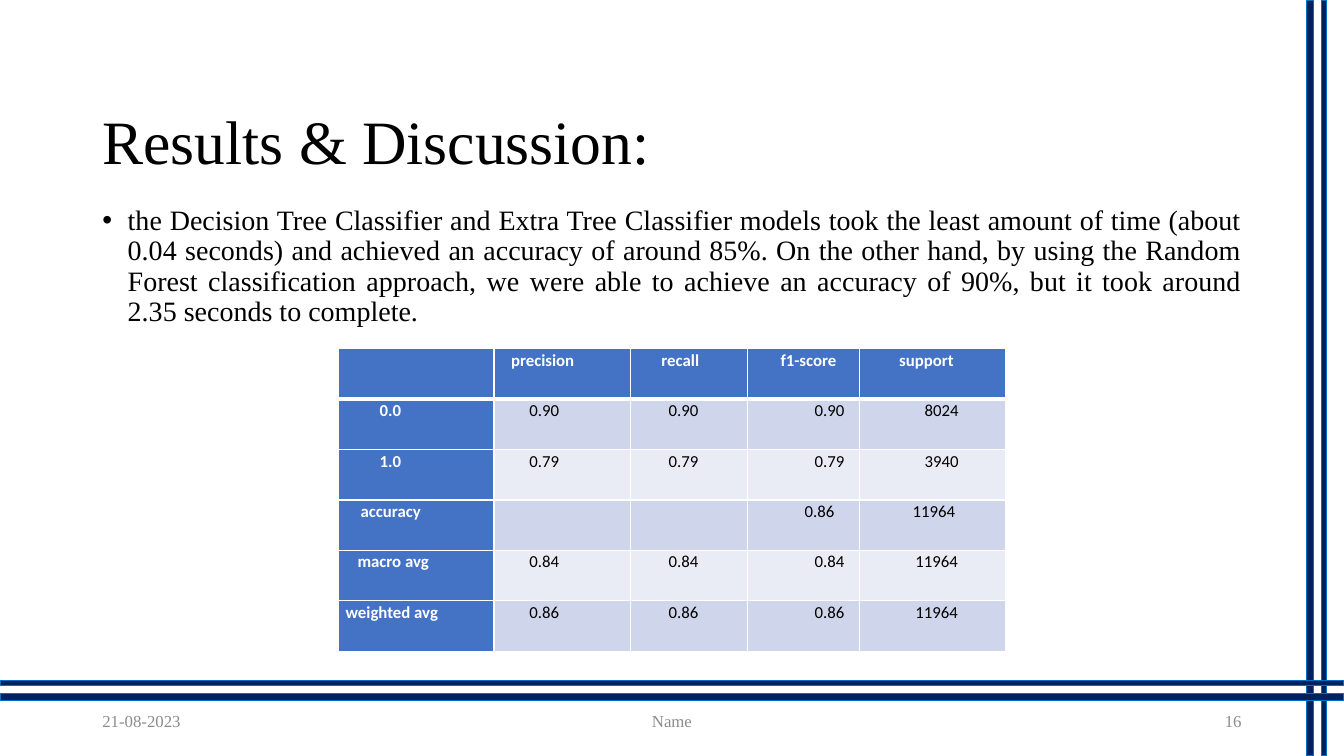
from lxml import etree
from pptx import Presentation
from pptx import util as u
from pptx.dml.color import RGBColor
from pptx.enum import shapes, text
from pptx.oxml.ns import qn

# Content
TITLE = "Results & Discussion:"
FINDINGS = (
    "the Decision Tree Classifier and Extra Tree Classifier models took the least "
    "amount of time (about 0.04 seconds) and achieved an accuracy of around 85%. "
    "On the other hand, by using the Random Forest classification approach, we were "
    "able to achieve an accuracy of 90%, but it took around 2.35 seconds to complete."
)
SCORES = [
    ["", "precision", "recall", "f1-score", "support"],
    ["0.0", "0.90", "0.90", "0.90", "8024"],
    ["1.0", "0.79", "0.79", "0.79", "3940"],
    ["accuracy", "", "", "0.86", "11964"],
    ["macro avg", "0.84", "0.84", "0.84", "11964"],
    ["weighted avg", "0.86", "0.86", "0.86", "11964"],
]
# Left indent of each cell's text, in cm
INDENTS = [
    [0, 0.25, 0.61, 0.66, 0.81],
    [0.86, 0.71, 0.79, 1.52, 1.45],
    [0.86, 0.71, 0.79, 1.52, 1.45],
    [0.38, 0, 0, 1.27, 1.15],
    [0.3, 0.71, 0.79, 1.52, 1.22],
    [0, 0.71, 0.79, 1.52, 1.22],
]
COLUMN_WIDTHS = [3.92, 3.43, 2.95, 2.84, 3.66]
ROW_HEIGHT = 1.27
LEFT, ALIGN = 2.33, text.PP_ALIGN
FOOTER = [  # text, left, width, alignment
    ("21-08-2023", LEFT, 7.62, ALIGN.LEFT),
    ("Name", 11.22, 11.43, ALIGN.CENTER),
    ("16", 23.92, 7.62, ALIGN.RIGHT),
]
WIDTH, HEIGHT = 33.87, 19.05
BARS = [  # left, top, width, height
    (32.92, 0, 0.18, HEIGHT),
    (33.3, 0, 0.13, HEIGHT),
    (0, 17.48, WIDTH, 0.18),
    (0, 17.15, WIDTH, 0.13),
]

NAVY = RGBColor(0x00, 0x20, 0x60)
BRIGHT_BLUE = RGBColor(0x00, 0x70, 0xC0)
HEADER_BLUE = RGBColor(0x44, 0x72, 0xC4)
BAND_DARK = RGBColor(0xCF, 0xD5, 0xEA)
BAND_LIGHT = RGBColor(0xE9, 0xEB, 0xF5)
GRAY = RGBColor(0x8C, 0x8C, 0x8C)
BLACK = RGBColor(0, 0, 0)
WHITE = RGBColor(0xFF, 0xFF, 0xFF)
SERIF, SANS = "Times New Roman", "Calibri"


def box(*lengths):
    return [u.Cm(length) for length in lengths]


def write(frame, content, size, color, font=SERIF, bold=False,
          align=ALIGN.LEFT, spacing=None):
    frame.text = content
    frame.word_wrap = True
    paragraph = frame.paragraphs[0]
    paragraph.alignment = align
    if spacing:
        paragraph.line_spacing = spacing
    for run in paragraph.runs:
        run.font.size = u.Pt(size)
        run.font.name = font
        run.font.bold = bold
        run.font.color.rgb = color
    return paragraph


def set_indent(paragraph, left, first=0):
    properties = paragraph._p.get_or_add_pPr()
    properties.set("marL", str(u.Cm(left)))
    properties.set("indent", str(u.Cm(first)))
    return properties


def add_border(cell, side, points):
    line = etree.SubElement(cell._tc.get_or_add_tcPr(), qn(f"a:ln{side}"),
                            w=str(u.Pt(points)))
    fill = etree.SubElement(line, qn("a:solidFill"))
    etree.SubElement(fill, qn("a:srgbClr"), val=str(WHITE))


presentation = Presentation()
presentation.slide_width, presentation.slide_height = box(WIDTH, HEIGHT)
slide = presentation.slides.add_slide(presentation.slide_layouts[5])

# Double bars along the right and bottom edges
for bar in BARS:
    shape = slide.shapes.add_shape(shapes.MSO_SHAPE.RECTANGLE, *box(*bar))
    shape.shadow.inherit = False
    shape.fill.solid()
    shape.fill.fore_color.rgb = NAVY
    shape.line.color.rgb = BRIGHT_BLUE
    shape.line.width = u.Pt(1)

# Title
title = slide.shapes.title
title.left, title.top, title.width, title.height = box(LEFT, 2.62, 29.21, 2.03)
title.text_frame.vertical_anchor = text.MSO_ANCHOR.MIDDLE
title.text_frame.auto_size = text.MSO_AUTO_SIZE.NONE
write(title.text_frame, TITLE, 44, BLACK, spacing=0.9)

# Bulleted findings
findings = slide.shapes.add_textbox(*box(LEFT, 5.08, 29.21, 12.09))
paragraph = write(findings.text_frame, FINDINGS, 20, BLACK,
                  align=ALIGN.JUSTIFY, spacing=0.9)
paragraph.space_before = u.Pt(10)
properties = set_indent(paragraph, 0.64, -0.64)
etree.SubElement(properties, qn("a:buFont"), typeface="Arial")
etree.SubElement(properties, qn("a:buChar"), char="•")

# Score table
table = slide.shapes.add_table(
    len(SCORES), len(COLUMN_WIDTHS),
    *box(8.53, 8.79, sum(COLUMN_WIDTHS), ROW_HEIGHT * len(SCORES))).table
for column, width in zip(table.columns, COLUMN_WIDTHS):
    column.width = u.Cm(width)
for r, (scores, indents) in enumerate(zip(SCORES, INDENTS)):
    table.rows[r].height = u.Cm(ROW_HEIGHT)
    for c, (score, indent) in enumerate(zip(scores, indents)):
        cell = table.cell(r, c)
        heading = r == 0 or c == 0
        cell.margin_left = cell.margin_right = u.Cm(0.18)
        cell.margin_top = cell.margin_bottom = 0
        paragraph = write(cell.text_frame, score, 12, WHITE if heading else BLACK,
                          SANS, heading, spacing=1.07)
        set_indent(paragraph, indent)
        for side in "LRTB":
            under_header = (r, side) in ((0, "B"), (1, "T"))
            add_border(cell, side, 3 if under_header else 1)
        cell.fill.solid()
        band = BAND_DARK if r % 2 else BAND_LIGHT
        cell.fill.fore_color.rgb = HEADER_BLUE if heading else band

# Footer
for content, left, width, align in FOOTER:
    footer = slide.shapes.add_textbox(*box(left, 17.65, width, 1.02))
    footer.text_frame.vertical_anchor = text.MSO_ANCHOR.MIDDLE
    write(footer.text_frame, content, 12, GRAY, align=align)

presentation.save("out.pptx")
